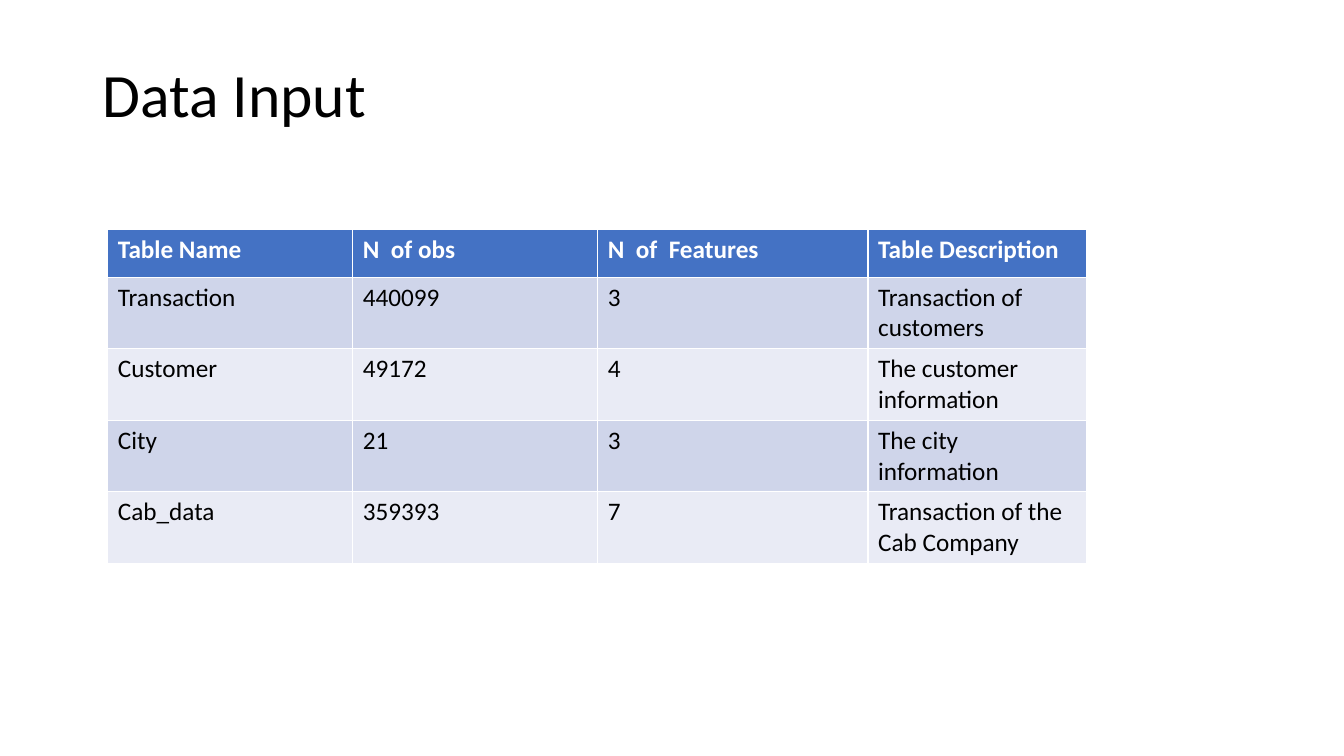
from pptx import Presentation
from pptx.dml.color import RGBColor
from pptx.enum.text import MSO_ANCHOR
from pptx.util import Inches, Pt

MIDDLE = MSO_ANCHOR.MIDDLE
TOP = MSO_ANCHOR.TOP

THEME = {
    "font": "Calibri",
    "title_size": 44,
    "table_size": 18,
    "text": "000000",
    "header_text": "FFFFFF",
    "header_fill": "4472C4",
    "band_fills": ["CFD5EA", "E9EBF5"],
}

COLUMN_WIDTHS = [2.43, 2.43, 2.68, 2.17]
HEADER_HEIGHT = 0.47
ROW_HEIGHT = 0.71
TABLE_ROWS = [
    ["Table Name", "N  of obs", "N  of  Features", "Table Description"],
    ["Transaction", "440099", "3", "Transaction of customers"],
    ["Customer", "49172", "4", "The customer information"],
    ["City", "21", "3", "The city information"],
    ["Cab_data", "359393", "7", "Transaction of the Cab Company"],
]


def write_text(frame, text, size, color=THEME["text"], bold=False, anchor=TOP, spacing=1.0):
    frame.word_wrap = True
    frame.vertical_anchor = anchor
    para = frame.paragraphs[0]
    para.line_spacing = spacing
    span = para.add_run()
    span.text = text
    span.font.name = THEME["font"]
    span.font.size = Pt(size)
    span.font.bold = bold
    span.font.color.rgb = RGBColor.from_string(color)


deck = Presentation()
deck.slide_width = Inches(13.33)
deck.slide_height = Inches(7.5)
page = deck.slides.add_slide(deck.slide_layouts[6])

title_box = page.shapes.add_textbox(Inches(0.92), Inches(0.4), Inches(11.5), Inches(1.14))
write_text(title_box.text_frame, "Data Input", THEME["title_size"], anchor=MIDDLE, spacing=0.9)

body_rows = len(TABLE_ROWS) - 1
table = page.shapes.add_table(
    len(TABLE_ROWS), len(COLUMN_WIDTHS),
    Inches(1.07), Inches(2.28),
    Inches(sum(COLUMN_WIDTHS)), Inches(HEADER_HEIGHT + body_rows * ROW_HEIGHT),
).table

for column, width in zip(table.columns, COLUMN_WIDTHS):
    column.width = Inches(width)

for row_index, row_texts in enumerate(TABLE_ROWS):
    is_header = row_index == 0
    table.rows[row_index].height = Inches(HEADER_HEIGHT if is_header else ROW_HEIGHT)
    fill = THEME["header_fill"] if is_header else THEME["band_fills"][(row_index - 1) % 2]
    color = THEME["header_text"] if is_header else THEME["text"]
    for column_index, text in enumerate(row_texts):
        cell = table.cell(row_index, column_index)
        cell.fill.solid()
        cell.fill.fore_color.rgb = RGBColor.from_string(fill)
        write_text(cell.text_frame, text, THEME["table_size"], color=color, bold=is_header)

deck.save("out.pptx")
